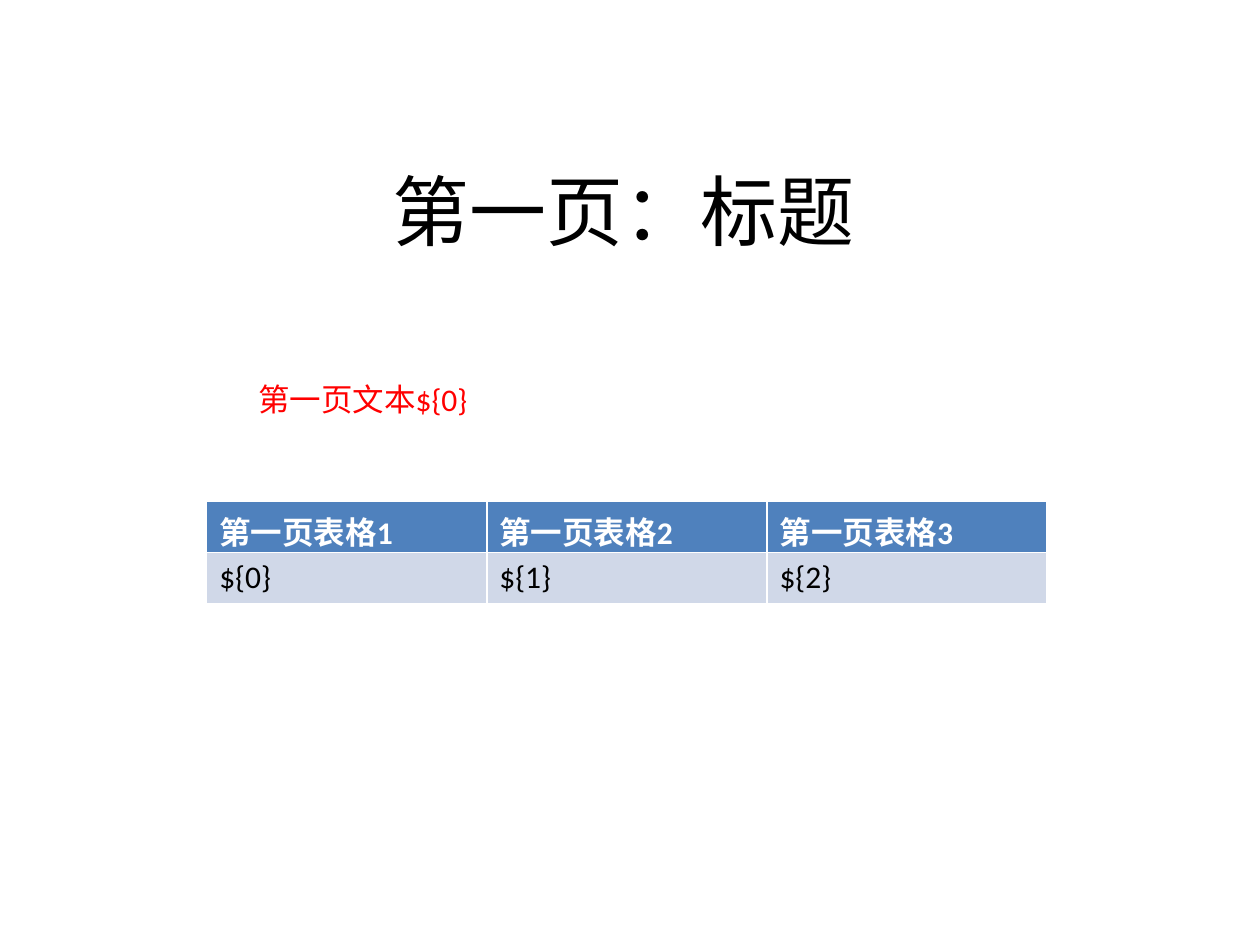
"""Build a slide with a title, a red line of text and a small table."""
import pptx
import pptx.util
import pptx.dml.color
import pptx.enum.text

Inches = pptx.util.Inches
RGBColor = pptx.dml.color.RGBColor
BLACK = RGBColor(0, 0, 0)
WHITE = RGBColor(255, 255, 255)
RED = RGBColor(255, 0, 0)
BLUE = RGBColor(0x4F, 0x81, 0xBD)
PALE = RGBColor(0xD0, 0xD8, 0xE8)


def write(frame, text, size, color, bold=False):
    frame.text = text
    font = frame.paragraphs[0].font
    font.name = "Calibri"
    font.size = pptx.util.Pt(size)
    font.color.rgb = color
    font.bold = bold


deck = pptx.Presentation()
deck.slide_width = Inches(10)
deck.slide_height = Inches(7.5)
slide = deck.slides.add_slide(deck.slide_layouts[6])

title = slide.shapes.add_textbox(Inches(0.7), Inches(0.86), Inches(8.5), Inches(1.61)).text_frame
title.word_wrap = True
title.vertical_anchor = pptx.enum.text.MSO_ANCHOR.MIDDLE
write(title, "第一页:标题".replace(":", "\uff1a"), 44, BLACK)
title.paragraphs[0].alignment = pptx.enum.text.PP_ALIGN.CENTER

note = slide.shapes.add_textbox(Inches(1.95), Inches(2.97), Inches(4.61), Inches(0.4)).text_frame
note.word_wrap = True
write(note, "第一页文本${0}", 18, RED)

table = slide.shapes.add_table(2, 3, Inches(1.64), Inches(3.98), Inches(6.67), Inches(0.81)).table
for col in range(3):
    head, body = table.cell(0, col), table.cell(1, col)
    write(head.text_frame, f"第一页表格{col + 1}", 18, WHITE, True)
    write(body.text_frame, f"${{{col}}}", 18, BLACK)
    for cell, fill in ((head, BLUE), (body, PALE)):
        cell.fill.solid()
        cell.fill.fore_color.rgb = fill

deck.save("out.pptx")
